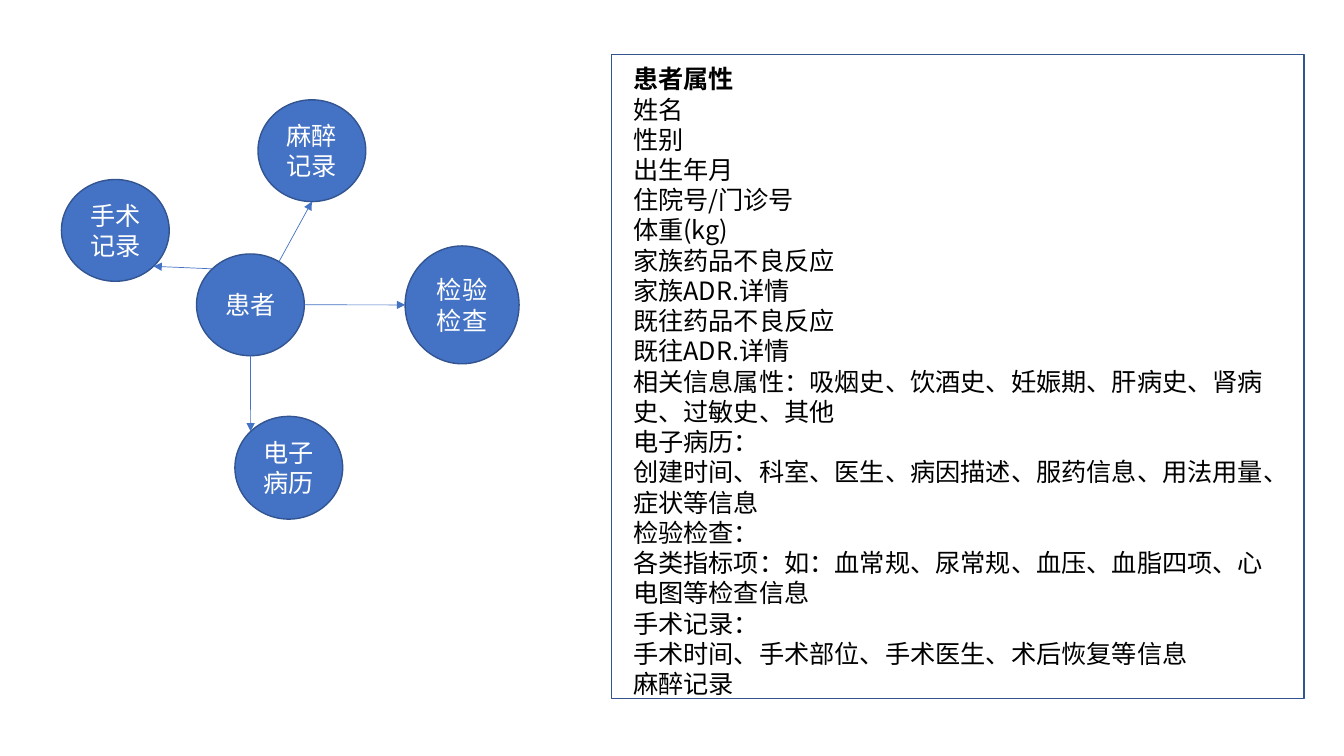
from math import cos, radians, sin

from lxml.etree import SubElement
from pptx import Presentation
from pptx.dml.color import RGBColor as RGB
from pptx.enum.shapes import MSO_CONNECTOR as CONN, MSO_SHAPE as SHAPE
from pptx.enum.text import MSO_ANCHOR as ANCHOR, MSO_AUTO_SIZE as AUTO, PP_ALIGN as ALIGN
from pptx.oxml.ns import qn
from pptx.util import Pt

HEADING = "患者属性"
ATTRIBUTES = [
    "姓名",
    "性别",
    "出生年月",
    "住院号/门诊号",
    "体重(kg)",
    "家族药品不良反应",
    "家族ADR.详情",
    "既往药品不良反应",
    "既往ADR.详情",
    "相关信息属性：吸烟史、饮酒史、妊娠期、肝病史、肾病史、过敏史、其他",
    "电子病历：",
    "创建时间、科室、医生、病因描述、服药信息、用法用量、症状等信息",
    "检验检查：",
    "各类指标项：如：血常规、尿常规、血压、血脂四项、心电图等检查信息",
    "手术记录：",
    "手术时间、手术部位、手术医生、术后恢复等信息",
    "麻醉记录",
]
NODES = {
    "患者": (140.4, 181.4, 77, 72.7),
    "电子病历": (167.8, 297.4, 77, 73.4),
    "检验检查": (289.4, 175.7, 81.4, 84.2),
    "手术记录": (43.9, 128.2, 77, 72.7),
    "麻醉记录": (184.3, 71.3, 77, 72.7),
}
LINKS = [
    ("患者", 58, "麻醉记录", 270),
    ("患者", 0, "检验检查", 180),
    ("患者", 270, "电子病历", 135),
    ("患者", 135, "手术记录", 315),
]
FRAME = (437, 38.9, 494.6, 460.1)
LIST_BOX = (445, 41.8, 478.8, 487.4)
THEME = {
    "font": "Noto Sans CJK SC",
    "size": Pt(18),
    "leading": Pt(21.6),
    "node": RGB(0x44, 0x72, 0xC4),
    "edge": RGB(0x32, 0x54, 0x91),
    "light": RGB(0xFF, 0xFF, 0xFF),
    "dark": RGB(0, 0, 0),
    "edge_width": Pt(1),
    "link_width": Pt(0.5),
}


def points(values):
    return [Pt(v) for v in values]


def write(p, text, color, bold=False):
    p.line_spacing = THEME["leading"]
    p.space_before = p.space_after = Pt(0)
    r = p.add_run()
    r.text = text
    r.font.name = THEME["font"]
    r.font.size = THEME["size"]
    r.font.bold = bold
    r.font.color.rgb = color
    SubElement(r.font._element, qn("a:ea"), typeface=THEME["font"])


def add_outlined(s, kind, box):
    sp = s.shapes.add_shape(kind, *points(box))
    sp.shadow.inherit = False
    sp.line.color.rgb = THEME["edge"]
    sp.line.width = THEME["edge_width"]
    return sp


def add_node(s, label, box):
    sp = add_outlined(s, SHAPE.OVAL, box)
    sp.fill.solid()
    sp.fill.fore_color.rgb = THEME["node"]
    tf = sp.text_frame
    tf.word_wrap = True
    tf.vertical_anchor = ANCHOR.MIDDLE
    p = tf.paragraphs[0]
    p.alignment = ALIGN.CENTER
    write(p, label, THEME["light"])


def rim(label, degrees):
    x, y, w, h = NODES[label]
    a = radians(degrees)
    return points((x + w / 2 * (1 + cos(a)), y + h / 2 * (1 - sin(a))))


def add_link(s, source, leave, target, enter):
    c = s.shapes.add_connector(CONN.STRAIGHT, *rim(source, leave), *rim(target, enter))
    c.line.color.rgb = THEME["node"]
    c.line.width = THEME["link_width"]
    SubElement(c.line._get_or_add_ln(), qn("a:tailEnd"), type="triangle")
    SubElement(c._element.spPr, qn("a:effectLst"))


def fill_list(body):
    body.left, body.top, body.width, body.height = points(LIST_BOX)
    tf = body.text_frame
    tf.word_wrap = True
    tf.auto_size = AUTO.SHAPE_TO_FIT_TEXT
    tf.vertical_anchor = ANCHOR.TOP
    for i, text in enumerate([HEADING, *ATTRIBUTES]):
        p = tf.add_paragraph() if i else tf.paragraphs[0]
        p.alignment = ALIGN.LEFT
        write(p, text, THEME["dark"], bold=i == 0)
        pPr = p._p.get_or_add_pPr()
        pPr.set("marL", "0")
        pPr.set("indent", "0")
        SubElement(pPr, qn("a:buNone"))


def main():
    prs = Presentation()
    prs.slide_width, prs.slide_height = points((960, 540))
    s = prs.slides.add_slide(prs.slide_layouts[1])
    title = s.shapes.title._element
    title.getparent().remove(title)
    fill_list(s.placeholders[1])
    add_outlined(s, SHAPE.RECTANGLE, FRAME).fill.background()
    for label, box in NODES.items():
        add_node(s, label, box)
    for link in LINKS:
        add_link(s, *link)
    prs.save("out.pptx")


if __name__ == "__main__":
    main()
